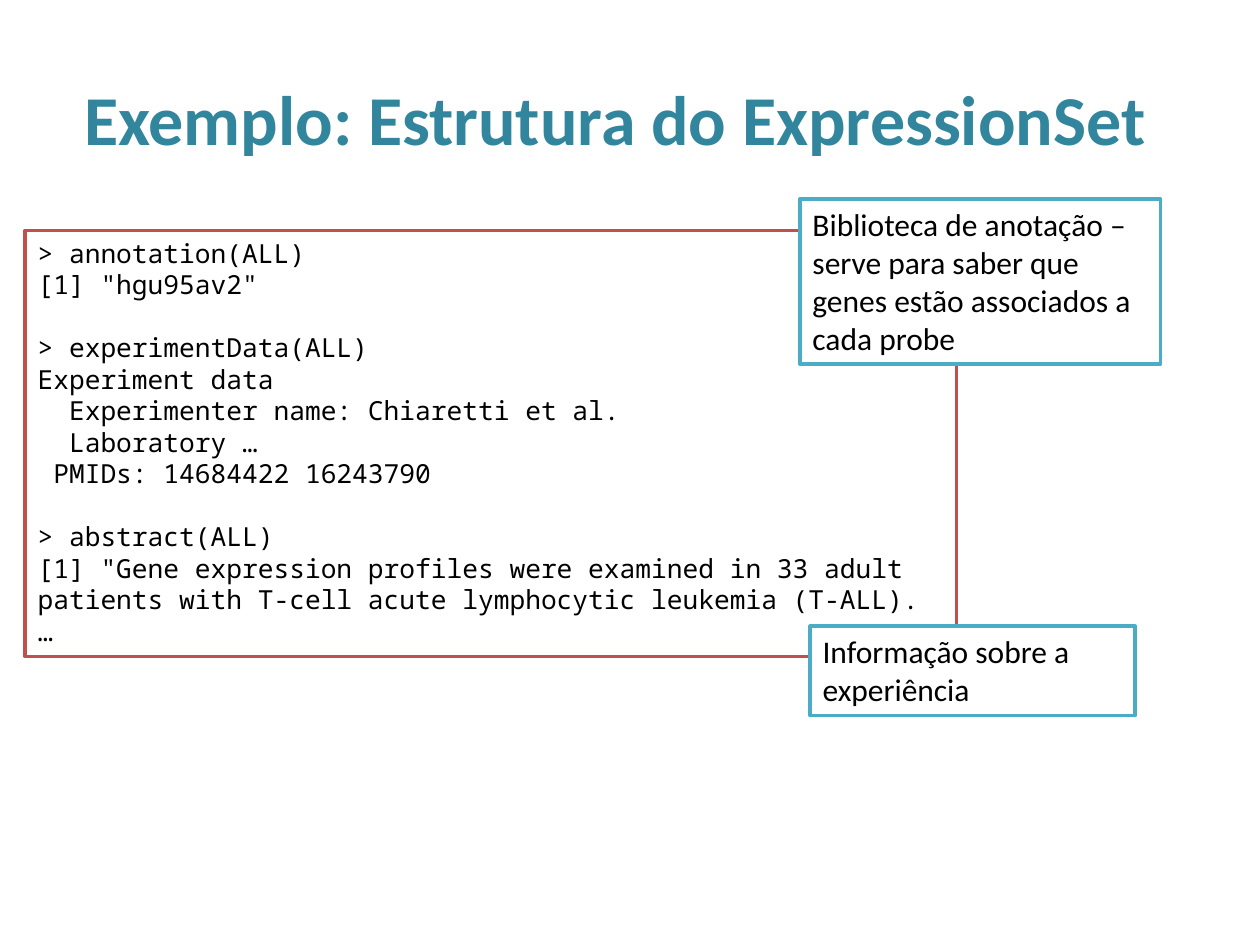
from pptx import Presentation
from pptx.dml.color import RGBColor
from pptx.enum.shapes import MSO_SHAPE as Shape
from pptx.enum.text import MSO_ANCHOR as Anchor, MSO_AUTO_SIZE as Fit, PP_ALIGN as Align
from pptx.util import Inches, Pt


def color(code):
    return RGBColor.from_string(code)


def write(box, text, size=18, font="Calibri", ink="000000", bold=False,
          align=Align.LEFT, anchor=Anchor.TOP, fit=Fit.SHAPE_TO_FIT_TEXT, gaps=()):
    """Fill a box with one paragraph per line; gaps lists the lines with space before."""
    frame = box.text_frame
    frame.word_wrap = True
    frame.auto_size = fit
    frame.vertical_anchor = anchor
    for i, line in enumerate(text.split("\n")):
        para = frame.paragraphs[0] if i == 0 else frame.add_paragraph()
        para.alignment = align
        if i in gaps:
            para.space_before = Pt(18)
        run = para.add_run()
        run.text = line
        run.font.size = Pt(size)
        run.font.name = font
        run.font.bold = bold
        run.font.color.rgb = color(ink)


deck = Presentation()
deck.slide_width, deck.slide_height = Inches(10), Inches(7.5)
slide = deck.slides.add_slide(deck.slide_layouts[5])

# Title
title = slide.shapes.title
title.left, title.top = Inches(0.38), Inches(0.18)
title.width, title.height = Inches(9), Inches(1.5)
write(title, "Exemplo: Estrutura do ExpressionSet", size=40, ink="31859C",
      bold=True, align=Align.CENTER, anchor=Anchor.MIDDLE, fit=Fit.NONE)

# R session, with a gap before each new command
code = """> annotation(ALL)
[1] "hgu95av2"
> experimentData(ALL)
Experiment data
  Experimenter name: Chiaretti et al.
  Laboratory …
 PMIDs: 14684422 16243790
> abstract(ALL)
[1] "Gene expression profiles were examined in 33 adult patients with T-cell acute lymphocytic leukemia (T-ALL).
…"""
mono = {"size": 15, "font": "Noto Sans Mono", "gaps": (2, 7)}

# Code box, then the two notes over its right corners
boxes = [
    (0.2, 1.83, 7.39, 3.38, "C0504D", code, mono),
    (6.35, 1.58, 2.86, 1.31, "4BACC6",
     "Biblioteca de anotação – serve para saber que genes estão associados a cada probe", {}),
    (6.43, 4.97, 2.58, 0.71, "4BACC6", "Informação sobre a experiência", {}),
]
for x, y, w, h, edge, text, style in boxes:
    box = slide.shapes.add_shape(Shape.RECTANGLE, Inches(x), Inches(y), Inches(w), Inches(h))
    box.shadow.inherit = False
    box.fill.solid()
    box.fill.fore_color.rgb = color("FFFFFF")
    box.line.color.rgb = color(edge)
    box.line.width = Pt(2)
    write(box, text, **style)

deck.save("out.pptx")
